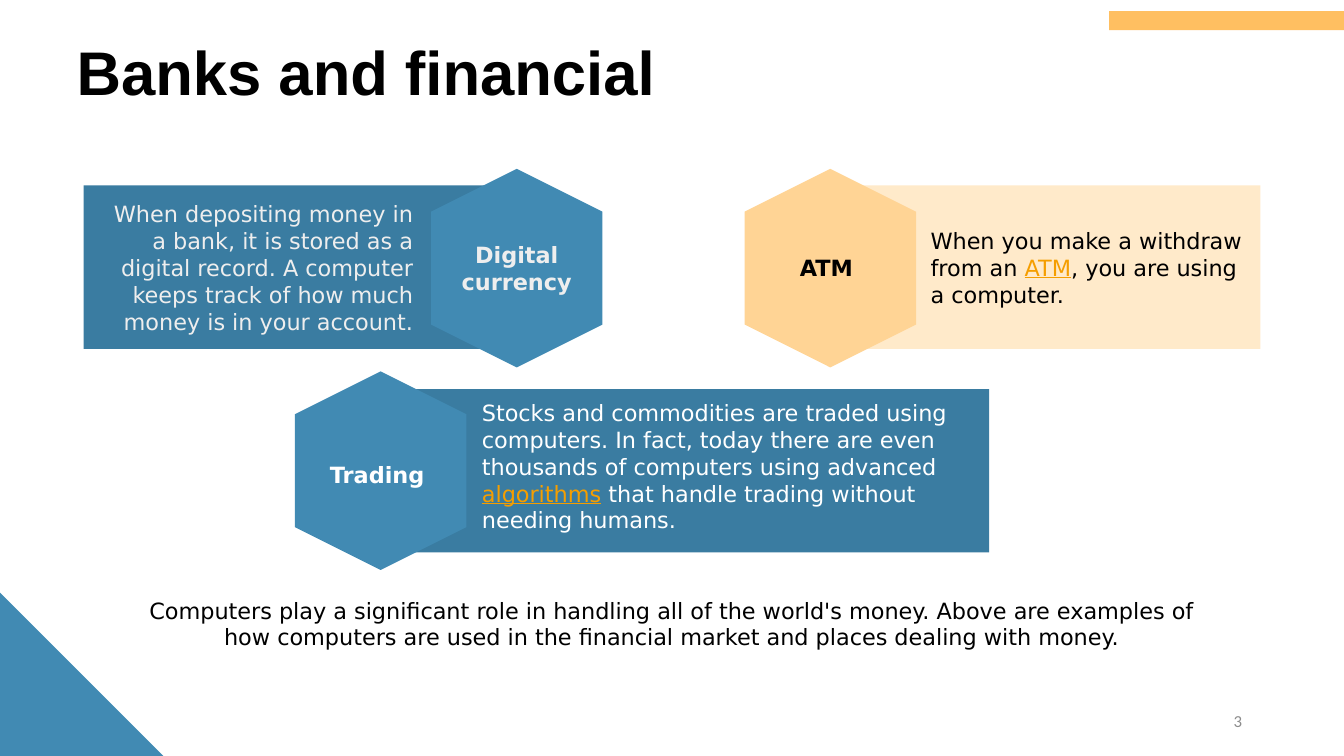
"""Build the slide on computers in banks and financial markets."""
from pptx import Presentation
from pptx.dml.color import RGBColor
from pptx.enum import shapes, text
from pptx.util import Inches, Pt

BLACK = RGBColor(0x00, 0x00, 0x00)
WHITE = RGBColor(0xFF, 0xFF, 0xFF)
LIGHT_GRAY = RGBColor(0xEE, 0xEE, 0xEE)
GRAY = RGBColor(0x8C, 0x8C, 0x8C)
BLUE = RGBColor(0x41, 0x8A, 0xB3)
DARK_BLUE = RGBColor(0x3A, 0x7C, 0xA1)
ORANGE = RGBColor(0xFF, 0xBF, 0x61)
PEACH = RGBColor(0xFF, 0xD4, 0x95)
PALE_PEACH = RGBColor(0xFF, 0xEA, 0xCA)
LINK = RGBColor(0xF5, 0x9E, 0x00)

LEFT, CENTER, RIGHT = text.PP_ALIGN.LEFT, text.PP_ALIGN.CENTER, text.PP_ALIGN.RIGHT
TOP, MIDDLE = text.MSO_ANCHOR.TOP, text.MSO_ANCHOR.MIDDLE
RECTANGLE = shapes.MSO_SHAPE.RECTANGLE


def add_block(parent, kind, box, color):
    shape = parent.add_shape(kind, *map(Inches, box))
    shape.shadow.inherit = False
    shape.fill.solid()
    shape.fill.fore_color.rgb = color
    shape.line.fill.background()
    return shape


def write(shape, parts, color, align, anchor=MIDDLE, size=16, name="DejaVu Sans", bold=False):
    frame = shape.text_frame
    frame.word_wrap = True
    frame.auto_size = text.MSO_AUTO_SIZE.NONE
    frame.vertical_anchor = anchor
    frame.margin_left = frame.margin_right = frame.margin_top = frame.margin_bottom = 0
    paragraph = frame.paragraphs[0]
    paragraph.alignment = align
    paragraph.font.size, paragraph.font.name, paragraph.font.bold = Pt(size), name, bold
    for index, part in enumerate(parts):
        run = paragraph.add_run()
        run.text = part
        linked = index == 1
        run.font.color.rgb = LINK if linked else color
        if linked:
            run.font.underline = True


presentation = Presentation()
presentation.slide_width, presentation.slide_height = Inches(13.33), Inches(7.5)
slide = presentation.slides.add_slide(presentation.slide_layouts[5])

title = slide.shapes.title
title.left, title.top, title.width, title.height = map(Inches, (0.76, 0.34, 11.82, 0.74))
write(title, ["Banks and financial"], BLACK, LEFT, TOP, 44, "Arial", True)

add_block(slide.shapes, shapes.MSO_SHAPE.RIGHT_TRIANGLE, (0, 5.88, 1.62, 1.62), BLUE)
add_block(slide.shapes, RECTANGLE, (11, 0.11, 2.33, 0.19), ORANGE)

cards = [
    ("Trading ", WHITE, DARK_BLUE, BLUE, (3.98, 3.86, 5.83, 1.62), (2.79, 3.82),
     (2.95, 4.57, 1.66, 0.27), (4.78, 3.95, 4.8, 1.35), LEFT,
     ["Stocks and commodities are traded using computers. In fact, today there are even "
      "thousands of computers using advanced ", "algorithms",
      " that handle trading without needing humans."]),
    ("Digital currency", LIGHT_GRAY, DARK_BLUE, BLUE, (0.83, 1.84, 4.29, 1.62), (4.14, 1.81),
     (4.37, 2.39, 1.51, 0.54), (1, 1.98, 3.1, 1.35), RIGHT,
     ["When depositing money in a bank, it is stored as a digital record. "
      "A computer keeps track of how much money is in your account."]),
    ("ATM ", BLACK, PALE_PEACH, PEACH, (8.21, 1.84, 4.29, 1.62), (7.25, 1.81),
     (7.48, 2.52, 1.51, 0.27), (9.23, 2.25, 3.1, 0.81), LEFT,
     ["When you make a withdraw from an ", "ATM", ", you are using a computer."]),
]
for (label, color, panel_color, hexagon_color, panel_box, hexagon_corner,
     label_box, detail_box, align, details) in cards:
    group = slide.shapes.add_group_shape()
    add_block(group.shapes, RECTANGLE, panel_box, panel_color)
    hexagon = add_block(group.shapes, shapes.MSO_SHAPE.HEXAGON,
                        (*hexagon_corner, 1.97, 1.7), hexagon_color)
    hexagon.rotation = 90
    write(group.shapes.add_textbox(*map(Inches, label_box)), [label], color, CENTER, bold=True)
    write(slide.shapes.add_textbox(*map(Inches, detail_box)), details, color, align)

summary = slide.shapes.add_textbox(*map(Inches, (1.25, 5.92, 10.83, 0.54)))
write(summary, ["Computers play a significant role in handling all of the world's money. "
                "Above are examples of how computers are used in the financial market "
                "and places dealing with money."], BLACK, CENTER, TOP)

page_number = slide.shapes.add_textbox(*map(Inches, (9.42, 6.95, 2.9, 0.4)))
write(page_number, ["3"], GRAY, RIGHT, size=12, name="Calibri")

presentation.save("out.pptx")
